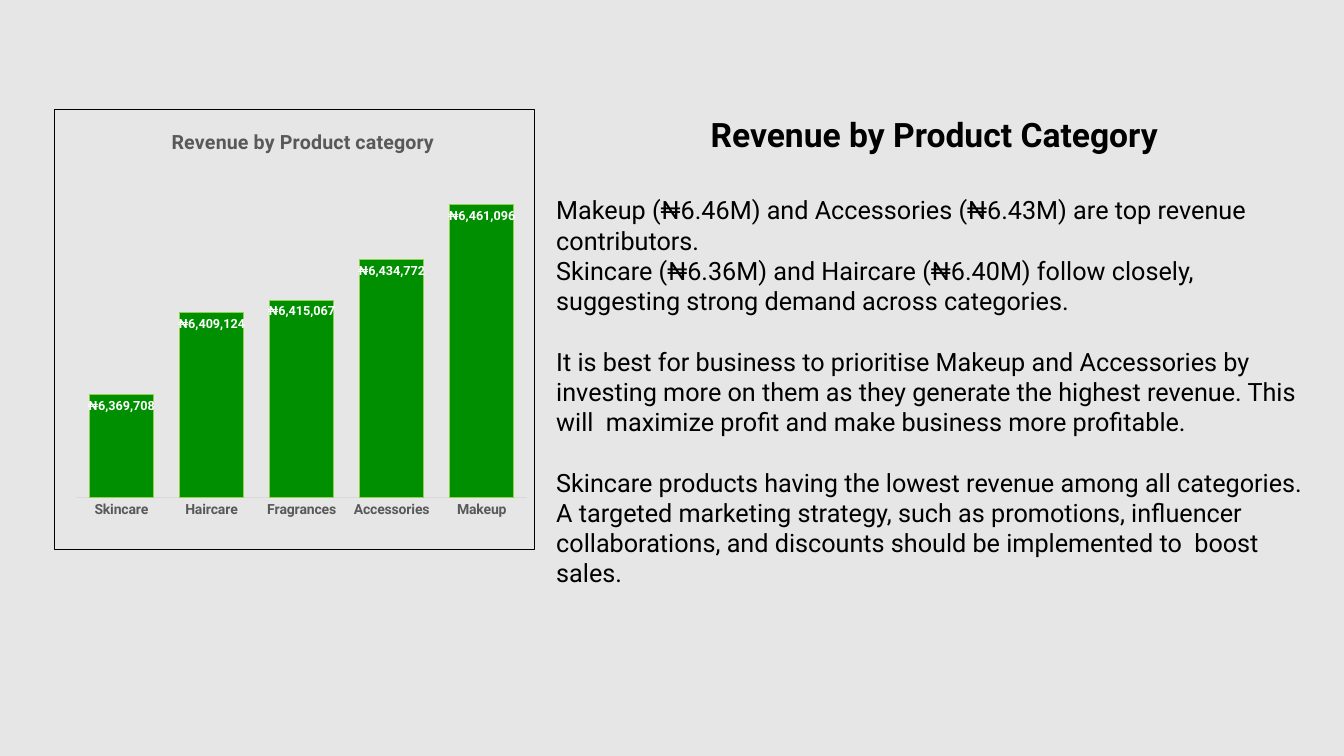
from dataclasses import dataclass

from lxml.etree import SubElement
from pptx import Presentation
from pptx.chart.chart import Chart
from pptx.chart.data import CategoryChartData
from pptx.dml.color import RGBColor
from pptx.enum.chart import XL_CHART_TYPE, XL_LABEL_POSITION, XL_TICK_MARK
from pptx.enum.text import MSO_AUTO_SIZE, PP_ALIGN
from pptx.oxml import parse_xml
from pptx.oxml.ns import nsdecls, qn
from pptx.slide import Slide
from pptx.text.text import Font
from pptx.util import Inches, Pt

SLIDE_WIDTH, SLIDE_HEIGHT = Inches(13.33), Inches(7.5)
FONT_NAME = "Roboto"
BLACK, WHITE, GRAY, GREEN = "000000", "FFFFFF", "595959", "008F00"
NAIRA_FORMAT = '"₦"#,##0'
REVENUE = {
    "Skincare": 6369708,
    "Haircare": 6409124,
    "Fragrances": 6415067,
    "Accessories": 6434772,
    "Makeup": 6461096,
}


@dataclass(frozen=True)
class Area:
    """A rectangle in percent of the slide's width and height."""

    left: float
    top: float
    width: float
    height: float

    def lengths(self) -> tuple[int, int, int, int]:
        column, row = SLIDE_WIDTH / 100, SLIDE_HEIGHT / 100
        return (
            round(self.left * column),
            round(self.top * row),
            round(self.width * column),
            round(self.height * row),
        )


@dataclass(frozen=True)
class Passage:
    text: str
    size: float = 18
    bold: bool = False
    alignment: PP_ALIGN = PP_ALIGN.LEFT
    space_after: float = 0


CHART_AREA = Area(4, 14.4, 35.78, 58.4)
TEXT_AREA = Area(40.65, 14.4, 58.35, 72.67)
PASSAGES = [
    Passage("Revenue by Product Category ", 24, True, PP_ALIGN.CENTER, 29),
    Passage("Makeup (₦6.46M) and Accessories (₦6.43M) are top revenue contributors."),
    Passage(
        "Skincare (₦6.36M) and Haircare (₦6.40M) follow closely, "
        "suggesting strong demand across categories.",
        space_after=21.6,
    ),
    Passage(
        "It is best for business to prioritise Makeup and Accessories by investing more "
        "on them as they generate the highest revenue. This will  maximize profit and "
        "make business more profitable.",
        space_after=21.6,
    ),
    Passage(
        "Skincare products having the lowest revenue among all categories. A targeted "
        "marketing strategy, such as promotions, influencer collaborations, and "
        "discounts should be implemented to  boost sales."
    ),
]


def color(value: str) -> RGBColor:
    return RGBColor.from_string(value)


def style_font(font: Font, size: float, value: str, bold: bool = False) -> None:
    font.name = FONT_NAME
    font.size = Pt(size)
    font.bold = bold
    font.color.rgb = color(value)


def set_layout(parent, position: int, percents: dict[str, float], inner: bool = False) -> None:
    """Place a chart part by percent of the chart's size."""
    for layout in parent.findall(qn("c:layout")):
        parent.remove(layout)
    layout = parse_xml(f"<c:layout {nsdecls('c')}/>")
    parent.insert(position, layout)
    manual = SubElement(layout, qn("c:manualLayout"))
    if inner:
        SubElement(manual, qn("c:layoutTarget"), val="inner")
    for axis in ("x", "y"):
        SubElement(manual, qn(f"c:{axis}Mode"), val="edge")
    for name, percent in percents.items():
        SubElement(manual, qn(f"c:{name}"), val=str(percent / 100))


def set_border(chart: Chart, value: str, width: float) -> None:
    border = parse_xml(
        f"<c:spPr {nsdecls('c', 'a')}><a:noFill/><a:ln w='{Pt(width)}'>"
        f"<a:solidFill><a:srgbClr val='{value}'/></a:solidFill></a:ln></c:spPr>"
    )
    chart.element.find(qn("c:chart")).addnext(border)


def style_title(chart: Chart) -> None:
    title = chart.chart_title
    title.text_frame.text = "Revenue by Product category"
    style_font(title.text_frame.paragraphs[0].runs[0].font, 14, GRAY, True)
    title.include_in_layout = False
    set_layout(title.element, 1, {"x": 23.7, "y": 3.4})


def style_axes(chart: Chart) -> None:
    category_axis, value_axis = chart.category_axis, chart.value_axis
    category_axis.major_tick_mark = XL_TICK_MARK.NONE
    category_axis.format.line.color.rgb = color("D9D9D9")
    category_axis.format.line.width = Pt(0.75)
    style_font(category_axis.tick_labels.font, 10, GRAY, True)
    value_axis.minimum_scale = 6320000
    value_axis.maximum_scale = 6480000
    value_axis.has_major_gridlines = False
    value_axis.visible = False


def style_columns(chart: Chart) -> None:
    plot = chart.plots[0]
    plot.gap_width = 41
    plot.overlap = -27
    plot.vary_by_categories = False
    series = plot.series[0]
    series.format.fill.solid()
    series.format.fill.fore_color.rgb = color(GREEN)
    series.format.line.color.rgb = color("92D050")
    series.format.line.width = Pt(0.75)
    labels = series.data_labels
    labels.show_value = True
    labels.position = XL_LABEL_POSITION.INSIDE_END
    labels.number_format = NAIRA_FORMAT
    labels.number_format_is_linked = False
    style_font(labels.font, 9, WHITE, True)


def add_revenue_chart(slide: Slide) -> None:
    data = CategoryChartData(number_format=NAIRA_FORMAT)
    data.categories = list(REVENUE)
    data.add_series("Series 1", list(REVENUE.values()))
    chart = slide.shapes.add_chart(
        XL_CHART_TYPE.COLUMN_CLUSTERED, *CHART_AREA.lengths(), data
    ).chart
    chart.has_legend = False
    style_font(chart.font, 10, BLACK)
    style_title(chart)
    style_axes(chart)
    style_columns(chart)
    set_border(chart, BLACK, 0.75)
    plot_area = chart.element.find(f".//{qn('c:plotArea')}")
    set_layout(plot_area, 0, {"x": 4.6, "y": 12.8, "w": 93.9, "h": 75.4}, inner=True)


def add_commentary(slide: Slide) -> None:
    text_frame = slide.shapes.add_textbox(*TEXT_AREA.lengths()).text_frame
    text_frame.word_wrap = True
    text_frame.auto_size = MSO_AUTO_SIZE.SHAPE_TO_FIT_TEXT
    text_frame.text = "\n".join(passage.text for passage in PASSAGES)
    for paragraph, passage in zip(text_frame.paragraphs, PASSAGES):
        paragraph.alignment = passage.alignment
        paragraph.space_after = Pt(passage.space_after)
        style_font(paragraph.runs[0].font, passage.size, BLACK, passage.bold)


def main() -> None:
    presentation = Presentation()
    presentation.slide_width, presentation.slide_height = SLIDE_WIDTH, SLIDE_HEIGHT
    slide = presentation.slides.add_slide(presentation.slide_layouts[6])
    slide.background.fill.solid()
    slide.background.fill.fore_color.rgb = color("E7E6E6")
    add_revenue_chart(slide)
    add_commentary(slide)
    presentation.save("out.pptx")


if __name__ == "__main__":
    main()
